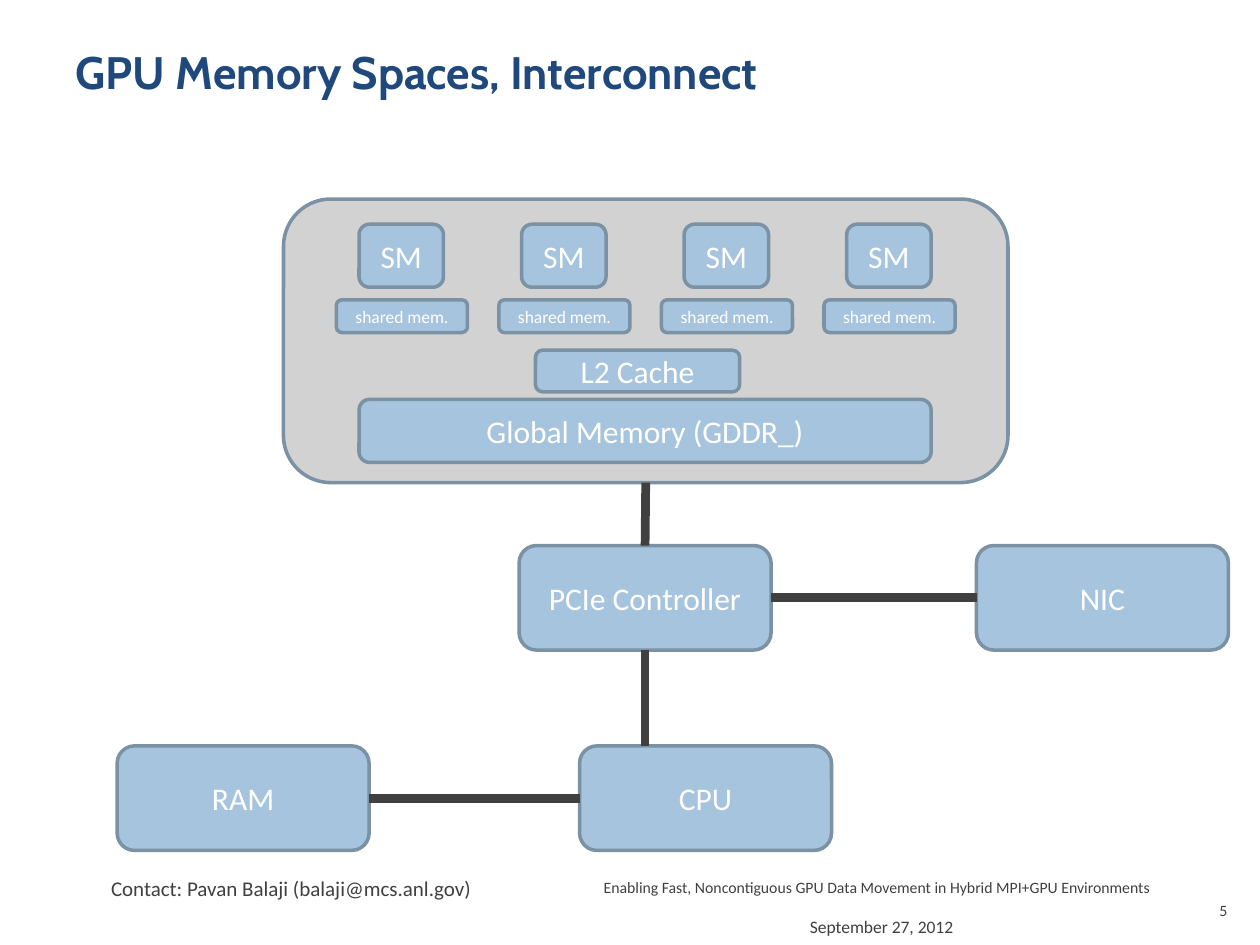
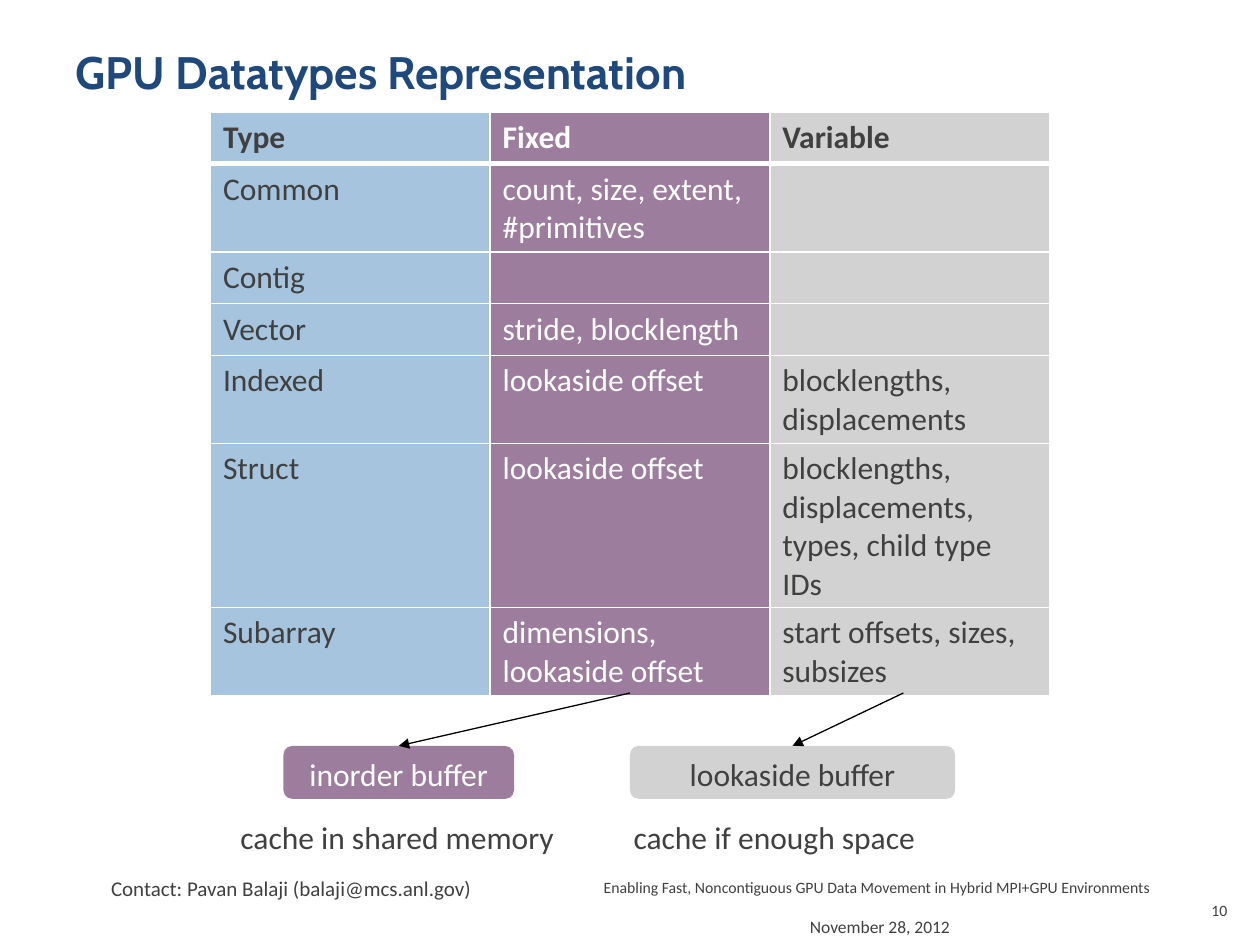
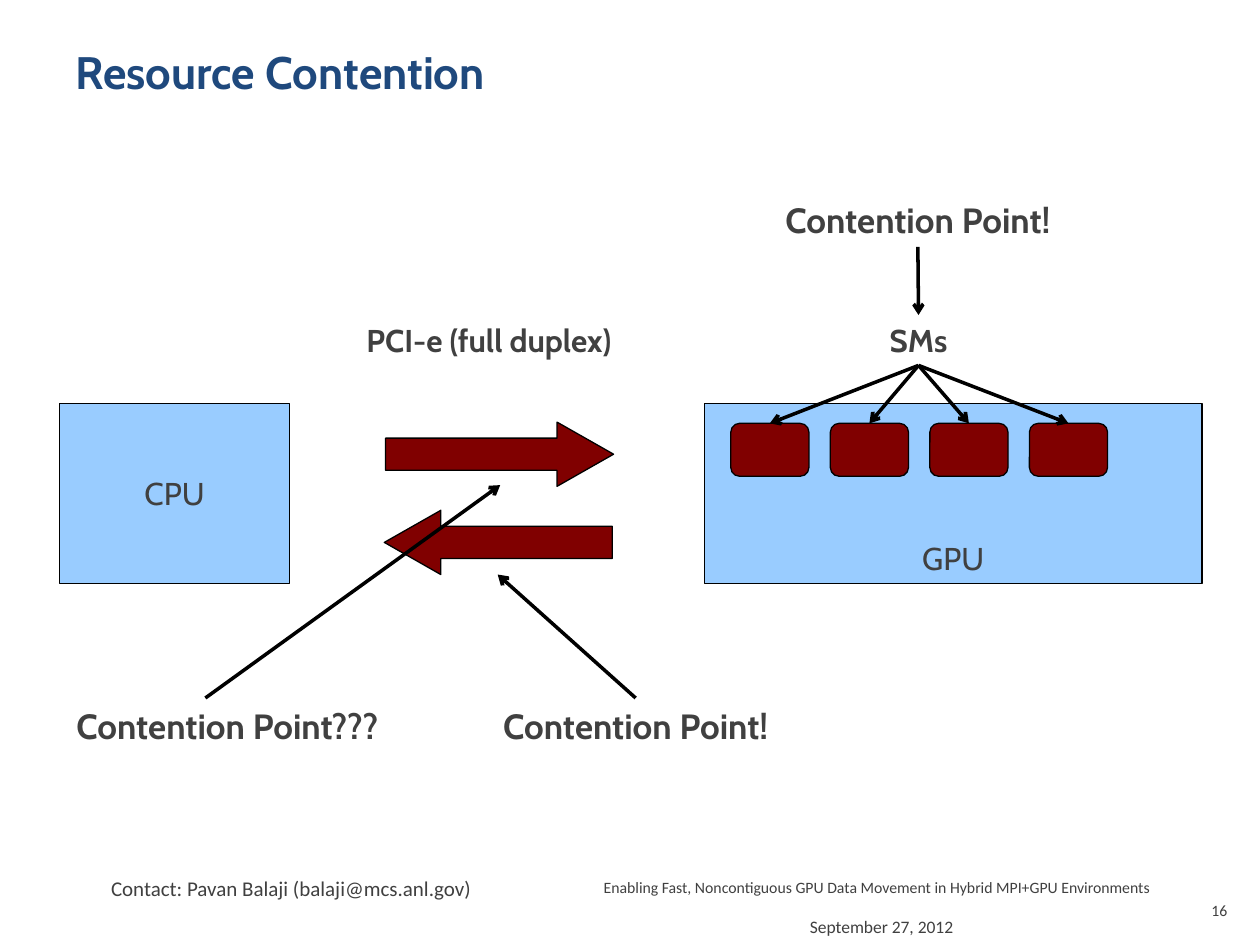
from dataclasses import dataclass
from typing import Optional

from lxml import etree
from pptx import Presentation
from pptx.dml.color import RGBColor
from pptx.enum.shapes import MSO_CONNECTOR, MSO_SHAPE
from pptx.enum.text import MSO_ANCHOR, MSO_AUTO_SIZE, PP_ALIGN
from pptx.oxml.ns import qn
from pptx.util import Inches, Pt

LEFT, CENTER, RIGHT = PP_ALIGN.LEFT, PP_ALIGN.CENTER, PP_ALIGN.RIGHT
TOP, MIDDLE, BOTTOM = MSO_ANCHOR.TOP, MSO_ANCHOR.MIDDLE, MSO_ANCHOR.BOTTOM
RECT, ROUND = MSO_SHAPE.RECTANGLE, MSO_SHAPE.ROUNDED_RECTANGLE
RIGHT_ARROW, LEFT_ARROW = MSO_SHAPE.RIGHT_ARROW, MSO_SHAPE.LEFT_ARROW
STRAIGHT = MSO_CONNECTOR.STRAIGHT
TITLE_ONLY = 5
SIDE_TOP, SIDE_LEFT, SIDE_BOTTOM, SIDE_RIGHT = range(4)


@dataclass(frozen=True)
class Theme:
    head_font: str = "Cabin"
    body_font: str = "Calibri"
    navy: str = "1F497D"
    text: str = "404040"
    white: str = "FFFFFF"
    black: str = "000000"
    blue: str = "A6C4DE"
    edge: str = "7B91A4"
    gray: str = "D2D2D2"
    purple: str = "9D7D9E"
    sky: str = "99CCFF"
    maroon: str = "800000"
    title: float = 26
    callout: float = 20
    body: float = 18
    contact: float = 12
    small: float = 10
    tiny: float = 9


T = Theme()


@dataclass(frozen=True)
class Font:
    size: float = T.body
    color: str = T.text
    name: str = T.body_font
    bold: bool = False


@dataclass(frozen=True)
class Look:
    """Fill, outline and text style of a preset shape."""
    fill: str
    line: Optional[str] = None
    width: float = 0
    font: Font = Font()
    anchor: MSO_ANCHOR = MIDDLE
    kind: MSO_SHAPE = ROUND


@dataclass(frozen=True)
class Box:
    x: float
    y: float
    w: float
    h: float
    text: str = ""

    def frame(self) -> tuple:
        return tuple(Inches(v) for v in (self.x, self.y, self.w, self.h))


@dataclass(frozen=True)
class Stroke:
    color: str = T.black
    width: float = 0
    head: Optional[str] = None


# Shared styles
WHITE_TEXT = Font(color=T.white)
HEAD = Font(name=T.head_font)
HEAD_BOLD = Font(name=T.head_font, bold=True)
CALLOUT = Font(T.callout, name=T.head_font, bold=True)
BLOCK = Look(T.blue, T.edge, 2, WHITE_TEXT)
SMALL_BLOCK = Look(T.blue, T.edge, 2, Font(T.small, T.white))
BUS = Stroke(T.text, 5)
POINTER = Stroke(head="arrow")
CELL_ARROW = Stroke(width=0.75, head="triangle")


def rgb(color: str) -> RGBColor:
    return RGBColor.from_string(color)


def write(tf, text: str, font: Font, align=LEFT) -> None:
    for i, line in enumerate(text.split("\n")):
        p = tf.add_paragraph() if i else tf.paragraphs[0]
        p.alignment = align
        r = p.add_run()
        r.text = line
        r.font.name, r.font.size, r.font.bold = font.name, Pt(font.size), font.bold
        r.font.color.rgb = rgb(font.color)


def add_text(s, box: Box, font: Font, align=LEFT, wrap: bool = False):
    sp = s.shapes.add_textbox(*box.frame())
    tf = sp.text_frame
    tf.word_wrap = wrap
    tf.auto_size = MSO_AUTO_SIZE.NONE if wrap else MSO_AUTO_SIZE.SHAPE_TO_FIT_TEXT
    write(tf, box.text, font, align)
    return sp


def add_block(s, box: Box, look: Look):
    sp = s.shapes.add_shape(look.kind, *box.frame())
    sp.shadow.inherit = False
    sp.fill.solid()
    sp.fill.fore_color.rgb = rgb(look.fill)
    if look.line:
        sp.line.color.rgb = rgb(look.line)
        sp.line.width = Pt(look.width)
    else:
        sp.line.fill.background()
    if box.text:
        sp.text_frame.vertical_anchor = look.anchor
        write(sp.text_frame, box.text, look.font, CENTER)
    return sp


def add_line(s, stroke: Stroke, start: tuple, end: tuple):
    """Each end is either a point in inches or a (shape, side) pair."""
    joined = [not isinstance(e[0], (int, float)) for e in (start, end)]
    points = [(0, 0) if j else e for j, e in zip(joined, (start, end))]
    c = s.shapes.add_connector(STRAIGHT, *(Inches(v) for pt in points for v in pt))
    if joined[0]:
        c.begin_connect(*start)
    if joined[1]:
        c.end_connect(*end)
    c.line.color.rgb = rgb(stroke.color)
    c.line.width = Pt(stroke.width)
    spPr = c._element.spPr
    if stroke.head:
        etree.SubElement(spPr.find(qn("a:ln")), qn("a:tailEnd"), type=stroke.head)
    etree.SubElement(spPr, qn("a:effectLst"))
    return c


def add_slide(prs, title: str, date: str, number: str):
    """Title, contact line and footer that every slide carries."""
    s = prs.slides.add_slide(prs.slide_layouts[TITLE_ONLY])
    sp = s.shapes.title
    sp.left, sp.top, sp.width, sp.height = Box(0.5, 0.3, 9, 1.25).frame()
    sp.text_frame.vertical_anchor = TOP
    write(sp.text_frame, title, Font(T.title, T.navy, T.head_font, True))

    add_text(s, Box(0.75, 6.9, 3.09, 0.3, "Contact: Pavan Balaji (balaji@mcs.anl.gov)"),
             Font(T.contact), RIGHT)
    add_text(s, Box(6.33, 7.22, 1.5, 0.23, date), Font(T.small), wrap=True)
    add_text(s, Box(4.17, 6.92, 5.05, 0.25, "Enabling Fast, Noncontiguous GPU Data "
                    "Movement in Hybrid MPI+GPU Environments"),
             Font(T.tiny), RIGHT, True)
    add_text(s, Box(9.42, 7.1, 0.42, 0.4, number), Font(T.tiny), RIGHT, True)
    return s


def set_borders(cell, top: float, bottom: float) -> None:
    tcPr = cell._tc.get_or_add_tcPr()
    for tag, width in (("lnL", 1), ("lnR", 1), ("lnT", top), ("lnB", bottom)):
        ln = etree.SubElement(tcPr, qn(f"a:{tag}"), w=str(Pt(width)))
        fill = etree.SubElement(ln, qn("a:solidFill"))
        etree.SubElement(fill, qn("a:srgbClr"), val=T.white)


def memory_slide(prs) -> None:
    s = add_slide(prs, "GPU Memory Spaces, Interconnect", "September 27, 2012", "5")

    # GPU and its memory levels
    gpu = add_block(s, Box(2.25, 1.58, 5.75, 2.25), Look(T.gray, T.edge, 2))
    for i in range(4):
        dx = 1.29 * i
        add_block(s, Box(2.85 + dx, 1.78, 0.67, 0.5, "SM"), BLOCK)
        add_block(s, Box(2.67 + dx, 2.38, 1.04, 0.26, "shared mem."), SMALL_BLOCK)
    add_block(s, Box(4.25, 2.78, 1.62, 0.33, "L2 Cache"), BLOCK)
    add_block(s, Box(2.85, 3.17, 4.54, 0.5, "Global Memory (GDDR_)"), BLOCK)

    # Host side
    pcie, nic, cpu, ram = (
        add_block(s, Box(x, y, 2, 0.83, text), BLOCK)
        for x, y, text in ((4.12, 4.33, "PCIe Controller"), (7.75, 4.33, "NIC"),
                           (4.6, 5.92, "CPU"), (0.93, 5.92, "RAM")))

    # Buses
    add_line(s, BUS, (gpu, SIDE_BOTTOM), (pcie, SIDE_TOP))
    add_line(s, BUS, (pcie, SIDE_BOTTOM), (5.12, 5.92))
    add_line(s, BUS, (ram, SIDE_RIGHT), (cpu, SIDE_LEFT))
    add_line(s, BUS, (pcie, SIDE_RIGHT), (nic, SIDE_LEFT))


DATATYPES = (
    ("Type", "Fixed", "Variable"),
    ("Common", "count, size, extent, #primitives", ""),
    ("Contig", "", ""),
    ("Vector", "stride, blocklength", ""),
    ("Indexed", "lookaside offset", "blocklengths, displacements"),
    ("Struct", "lookaside offset", "blocklengths, displacements, types, child type IDs"),
    ("Subarray", "dimensions,\nlookaside offset", "start offsets, sizes, subsizes"),
)
COLUMN_COLORS = ((T.blue, T.text), (T.purple, T.white), (T.gray, T.text))


def datatypes_slide(prs) -> None:
    s = add_slide(prs, "GPU Datatypes Representation", "November 28, 2012", "10")

    # Datatype table, one colour per column
    rows, cols = len(DATATYPES), len(COLUMN_COLORS)
    frame = Box(1.67, 0.89, 2.22 * cols, 0.41 * rows).frame()
    table = s.shapes.add_table(rows, cols, *frame).table
    table.horz_banding = False
    for i, row in enumerate(DATATYPES):
        for j, (text, (fill, color)) in enumerate(zip(row, COLUMN_COLORS)):
            cell = table.cell(i, j)
            set_borders(cell, top=3 if i == 1 else 1, bottom=3 if i == 0 else 1)
            cell.fill.solid()
            cell.fill.fore_color.rgb = rgb(fill)
            if text:
                write(cell.text_frame, text, Font(color=color, bold=i == 0))

    # Buffers that hold the two kinds of fields
    inorder = add_block(s, Box(2.25, 5.92, 1.83, 0.42, "inorder buffer"),
                        Look(T.purple, font=WHITE_TEXT, anchor=TOP))
    lookaside = add_block(s, Box(5, 5.92, 2.58, 0.42, "lookaside buffer"),
                          Look(T.gray, anchor=TOP))
    add_line(s, CELL_ARROW, (5, 5.5), (inorder, SIDE_TOP))
    add_line(s, CELL_ARROW, (7.17, 5.5), (lookaside, SIDE_TOP))
    add_text(s, Box(1.81, 6.44, 2.72, 0.4, "cache in shared memory"), Font())
    add_text(s, Box(4.93, 6.44, 2.47, 0.4, "cache if enough space"), Font())


def contention_slide(prs) -> None:
    s = add_slide(prs, "Resource Contention", "September 27, 2012", "16")

    # CPU, GPU and the two transfer directions
    add_block(s, Box(0.47, 3.2, 1.83, 1.43, "CPU"),
              Look(T.sky, T.black, font=HEAD, kind=RECT))
    for kind, x, y in ((RIGHT_ARROW, 3.06, 3.35), (LEFT_ARROW, 3.05, 4.05)):
        arrow = add_block(s, Box(x, y, 1.81, 0.51), Look(T.maroon, T.black, kind=kind))
        arrow.adjustments[1] = 0.88
    add_block(s, Box(5.59, 3.2, 3.95, 1.43, "GPU"),
              Look(T.sky, T.black, font=HEAD, anchor=BOTTOM, kind=RECT))
    sms = [add_block(s, Box(5.8 + 0.79 * i, 3.36, 0.62, 0.42), Look(T.maroon, T.black))
           for i in range(4)]

    # Labels
    add_text(s, Box(2.81, 2.5, 2.8, 0.4, "PCI-e (full duplex)"), HEAD_BOLD)
    sm_label = add_text(s, Box(6.04, 2.5, 2.5, 0.4, "SMs"), HEAD_BOLD, CENTER)
    bus_point, sm_point, _ = (
        add_text(s, box, CALLOUT, CENTER)
        for box in (Box(3.49, 5.54, 3.11, 0.43, "Contention Point!"),
                    Box(5.73, 1.53, 3.11, 0.43, "Contention Point!"),
                    Box(0.12, 5.54, 3.37, 0.43, "Contention Point???")))

    # Pointers
    for sm in sms:
        add_line(s, POINTER, (sm_label, SIDE_BOTTOM), (sm, SIDE_TOP))
    add_line(s, POINTER, (bus_point, SIDE_TOP), (3.95, 4.56))
    add_line(s, POINTER, (sm_point, SIDE_BOTTOM), (sm_label, SIDE_TOP))
    add_line(s, POINTER, (1.63, 5.54), (3.97, 3.85))


def main() -> None:
    prs = Presentation()
    prs.slide_width, prs.slide_height = Inches(10), Inches(7.5)
    memory_slide(prs)
    datatypes_slide(prs)
    contention_slide(prs)
    prs.save("out.pptx")


if __name__ == "__main__":
    main()
